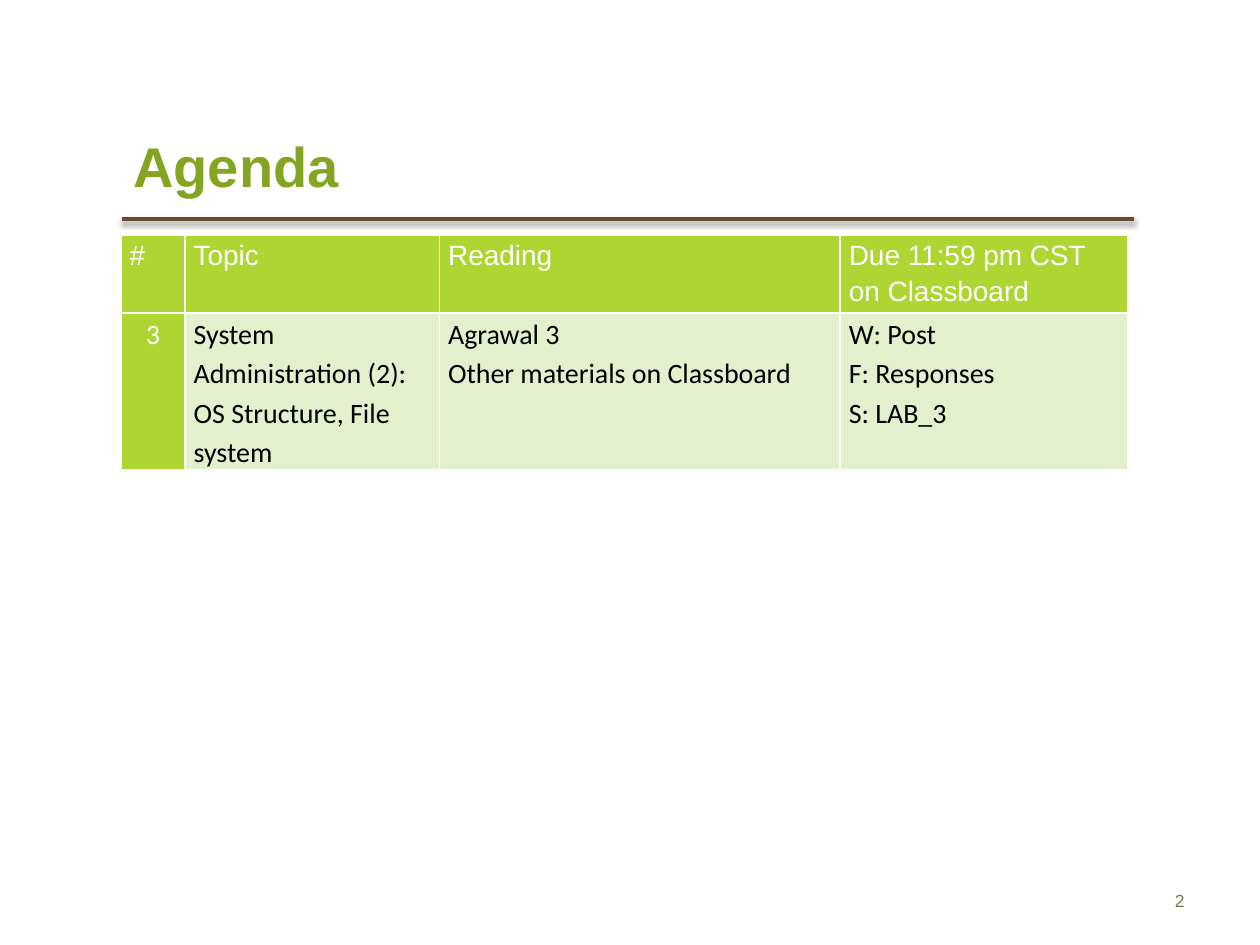
"""Build the agenda slide with its schedule table."""
import dataclasses
import typing

import lxml.etree
import pptx
import pptx.dml.color
import pptx.enum.shapes
import pptx.enum.text
import pptx.oxml
import pptx.oxml.ns
import pptx.util

Pt = pptx.util.Pt
Align = pptx.enum.text.PP_ALIGN
Anchor = pptx.enum.text.MSO_ANCHOR
qn = pptx.oxml.ns.qn


@dataclasses.dataclass(frozen=True)
class Theme:
    title: str = "84A521"
    rule: str = "634D2A"
    number: str = "8F6F52"
    strong: str = "ADD632"
    pale: str = "E3F0CE"
    white: str = "FFFFFF"
    black: str = "000000"
    sans: str = "Arial"
    body: str = "Calibri"
    large: int = 32
    normal: int = 16
    small: int = 10


@dataclasses.dataclass(frozen=True)
class Box:
    left: float
    top: float
    width: float
    height: float

    def points(self) -> list:
        return [Pt(n) for n in dataclasses.astuple(self)]


@dataclasses.dataclass(frozen=True)
class Cell:
    text: str
    fill: str
    color: str
    font: str
    align: typing.Any = Align.LEFT


THEME = Theme()
WIDTHS = (36.6, 145.4, 229, 164.2)
HEIGHTS = (40.6, 89.8)
HEADS = ("#", "Topic", "Reading", "Due 11:59 pm CST on Classboard")
TOPICS = (
    "System Administration (2): OS Structure, File system",
    "Agrawal 3\nOther materials on Classboard",
    "W: Post\nF: Responses\nS: LAB_3",
)
ROWS = (
    [Cell(t, THEME.strong, THEME.white, THEME.sans) for t in HEADS],
    [Cell("3", THEME.strong, THEME.white, THEME.body, Align.CENTER)]
    + [Cell(t, THEME.pale, THEME.black, THEME.body) for t in TOPICS],
)


def tint(color: str) -> pptx.dml.color.RGBColor:
    return pptx.dml.color.RGBColor.from_string(color)


def write(frame, text: str, *, size: float, color: str, font: str = THEME.sans,
          bold: bool = False, align=Align.LEFT, pitch: float = 1) -> None:
    frame.word_wrap = True
    for i, line in enumerate(text.split("\n")):
        para = frame.add_paragraph() if i else frame.paragraphs[0]
        para.alignment = align
        para.line_spacing = pitch
        run = para.add_run()
        run.text = line
        run.font.size = Pt(size)
        run.font.name = font
        run.font.bold = bold
        run.font.color.rgb = tint(color)


def label(slide, box: Box, text: str, **style) -> None:
    frame = slide.shapes.add_textbox(*box.points()).text_frame
    frame.vertical_anchor = Anchor.MIDDLE
    write(frame, text, **style)


def rule(slide, left: float, right: float, top: float) -> None:
    line = slide.shapes.add_connector(
        pptx.enum.shapes.MSO_CONNECTOR.STRAIGHT, Pt(left), Pt(top), Pt(right), Pt(top))
    line.line.color.rgb = tint(THEME.rule)
    line.line.width = Pt(2)
    effects = lxml.etree.SubElement(line._element.spPr, qn("a:effectLst"))
    shadow = lxml.etree.SubElement(
        effects, qn("a:outerShdw"), blurRad=str(Pt(3.1)), dist=str(Pt(1.6)),
        dir="5400000", rotWithShape="0")
    shade = lxml.etree.SubElement(shadow, qn("a:srgbClr"), val=THEME.black)
    lxml.etree.SubElement(shade, qn("a:alpha"), val="38000")


def edge(cell, color: str, width: float) -> None:
    props = cell._tc.get_or_add_tcPr()
    for i, side in enumerate(("a:lnL", "a:lnR", "a:lnT", "a:lnB")):
        line = pptx.oxml.xmlchemy.OxmlElement(side)
        line.set("w", str(Pt(width)))
        fill = lxml.etree.SubElement(line, qn("a:solidFill"))
        lxml.etree.SubElement(fill, qn("a:srgbClr"), val=color)
        props.insert(i, line)


def paint(cell, data: Cell) -> None:
    cell.fill.solid()
    cell.fill.fore_color.rgb = tint(data.fill)
    cell.margin_left = cell.margin_right = Pt(5)
    cell.margin_top = cell.margin_bottom = 0
    edge(cell, THEME.white, 1)
    write(cell.text_frame, data.text, size=THEME.normal, color=data.color,
          font=data.font, align=data.align, pitch=1.15)


def grid(slide, left: float, top: float) -> None:
    box = Box(left, top, sum(WIDTHS), sum(HEIGHTS))
    table = slide.shapes.add_table(len(ROWS), len(WIDTHS), *box.points()).table
    for col, width in zip(table.columns, WIDTHS):
        col.width = Pt(width)
    for row, height, cells in zip(table.rows, HEIGHTS, ROWS):
        row.height = Pt(height)
        for cell, data in zip(row.cells, cells):
            paint(cell, data)


def main() -> None:
    deck = pptx.Presentation()
    deck.slide_width, deck.slide_height = Pt(720), Pt(540)
    slide = deck.slides.add_slide(deck.slide_layouts[6])
    rule(slide, 69.8, 648, 125.3)
    label(slide, Box(516.2, 500.4, 167.8, 28.8), "2", size=THEME.small,
          color=THEME.number, align=Align.RIGHT)
    label(slide, Box(69.1, 61.9, 415.4, 64.8), "Agenda", size=THEME.large,
          color=THEME.title, bold=True)
    grid(slide, 69.1, 134.6)
    deck.save("out.pptx")


if __name__ == "__main__":
    main()
